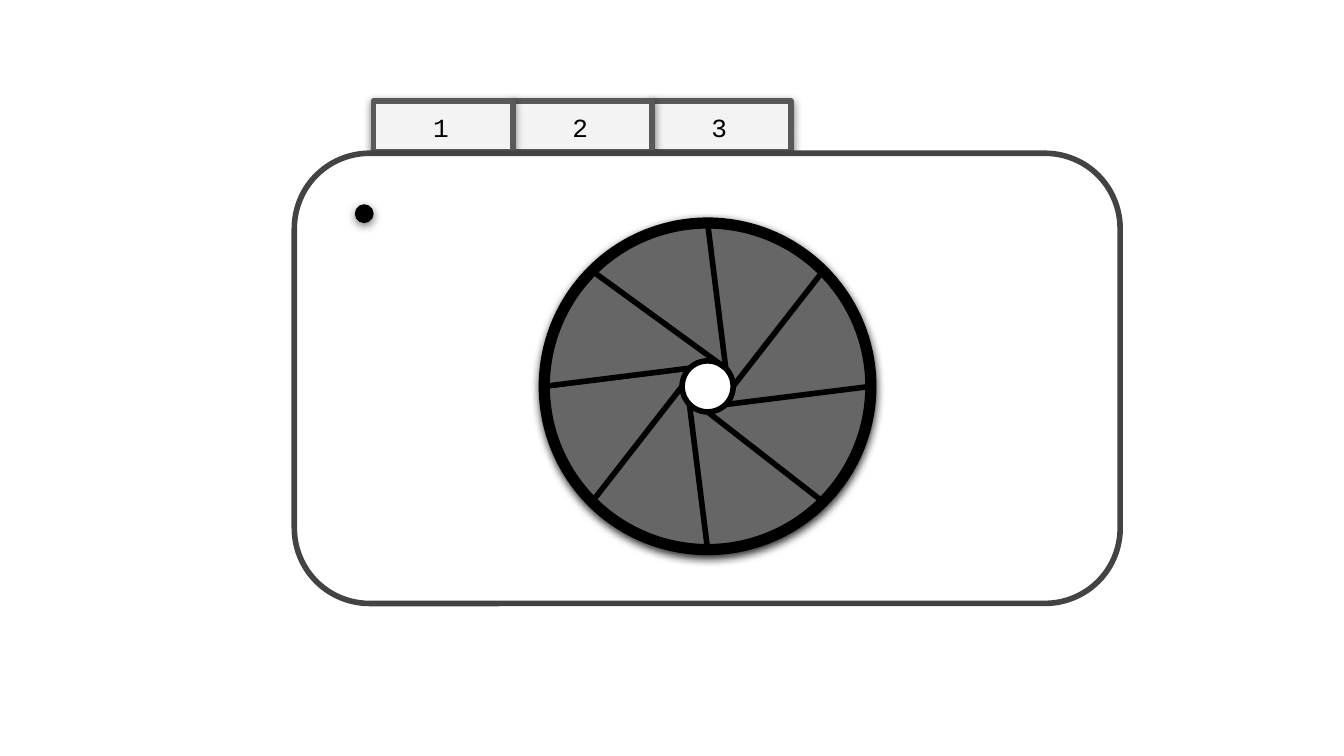
from math import cos, radians, sin

from lxml.etree import SubElement
from pptx import Presentation
from pptx.dml.color import RGBColor
from pptx.enum.shapes import MSO_CONNECTOR, MSO_SHAPE
from pptx.enum.text import MSO_ANCHOR, MSO_AUTO_SIZE
from pptx.oxml.ns import qn
from pptx.util import Emu, Inches, Pt

SCALE = 4572
WIDE, HIGH = 2000, 1125
BLACK, WHITE = "000000", "FFFFFF"


def px(num):
    return Emu(num * SCALE)


def color(code):
    return RGBColor.from_string(code)


def apply(item, form):
    for name, value in form.items():
        setattr(item, name, value)


class Canvas:
    font = {"name": "Courier New", "size": Pt(14)}
    frame = {
        "word_wrap": True,
        "auto_size": MSO_AUTO_SIZE.SHAPE_TO_FIT_TEXT,
        "vertical_anchor": MSO_ANCHOR.TOP,
        "margin_left": Inches(0.1),
        "margin_right": Inches(0.1),
        "margin_top": Inches(0.1),
        "margin_bottom": Inches(0.1),
    }

    def __init__(self, slide):
        self.slide = slide

    def group(self):
        return self.slide.shapes.add_group_shape().shapes

    def shape(self, kind, box, fill, line=None, width=3, shade=0, adjust=None, home=None):
        home = self.slide.shapes if home is None else home
        item = home.add_shape(kind, *map(px, box))
        if adjust is not None:
            item.adjustments[0] = adjust
        item.fill.solid()
        item.fill.fore_color.rgb = color(fill)
        if line:
            item.line.color.rgb = color(line)
            item.line.width = Pt(width)
        else:
            item.line.fill.background()
        item.shadow.inherit = False
        if shade:
            self.shadow(item, shade)
        return item

    def shadow(self, item, alpha):
        effect = item._element.spPr.find(qn("a:effectLst"))
        outer = SubElement(effect, qn("a:outerShdw"), blurRad=str(Pt(4.5)),
                           dist=str(Pt(1.5)), dir="5400000", algn="bl", rotWithShape="0")
        tint = SubElement(outer, qn("a:srgbClr"), val=BLACK)
        SubElement(tint, qn("a:alpha"), val=str(alpha * 1000))

    def disc(self, mid, radius, fill, **form):
        x, y = mid
        box = x - radius, y - radius, 2 * radius, 2 * radius
        return self.shape(MSO_SHAPE.OVAL, box, fill, **form)

    def text(self, box, words, home):
        item = home.add_textbox(*map(px, box))
        apply(item.text_frame, self.frame)
        run = item.text_frame.paragraphs[0].add_run()
        run.text = words
        apply(run.font, self.font)
        run.font.color.rgb = color(BLACK)

    def line(self, start, end):
        item = self.slide.shapes.add_connector(
            MSO_CONNECTOR.STRAIGHT, *map(px, start + end))
        item.line.color.rgb = color(BLACK)
        item.line.width = Pt(3)
        SubElement(item._element.spPr, qn("a:effectLst"))


def polar(mid, radius, angle):
    turn = radians(angle)
    return round(mid[0] + radius * cos(turn)), round(mid[1] + radius * sin(turn))


def main():
    deck = Presentation()
    apply(deck, {"slide_width": px(WIDE), "slide_height": px(HIGH)})
    canvas = Canvas(deck.slides.add_slide(deck.slide_layouts[6]))

    left, top, width = 556, 150, 207
    for num in (3, 2, 1):
        x = left + (num - 1) * width
        home = canvas.group()
        canvas.shape(MSO_SHAPE.ROUNDED_RECTANGLE, (x, top, width, 76), "F3F3F3",
                     line="595959", shade=50, adjust=0, home=home)
        canvas.text((x + 69, top - 4, 68, 88), str(num), home)

    canvas.shape(MSO_SHAPE.ROUNDED_RECTANGLE, (438, 228, 1229, 670), WHITE,
                 line="434343", adjust=0.167)
    canvas.disc((542, 318), 14, BLACK, shade=50)

    mid, rim, hub = (1053, 575), 243, 38
    canvas.disc(mid, rim, "666666", line=BLACK, width=6, shade=81)
    canvas.disc(mid, hub, WHITE, line=BLACK)
    for blade in range(8):
        angle = 225 - 45 * blade
        twist = 45 if blade else 90
        canvas.line(polar(mid, hub, angle + twist), polar(mid, rim, angle))

    deck.save("out.pptx")


if __name__ == "__main__":
    main()
